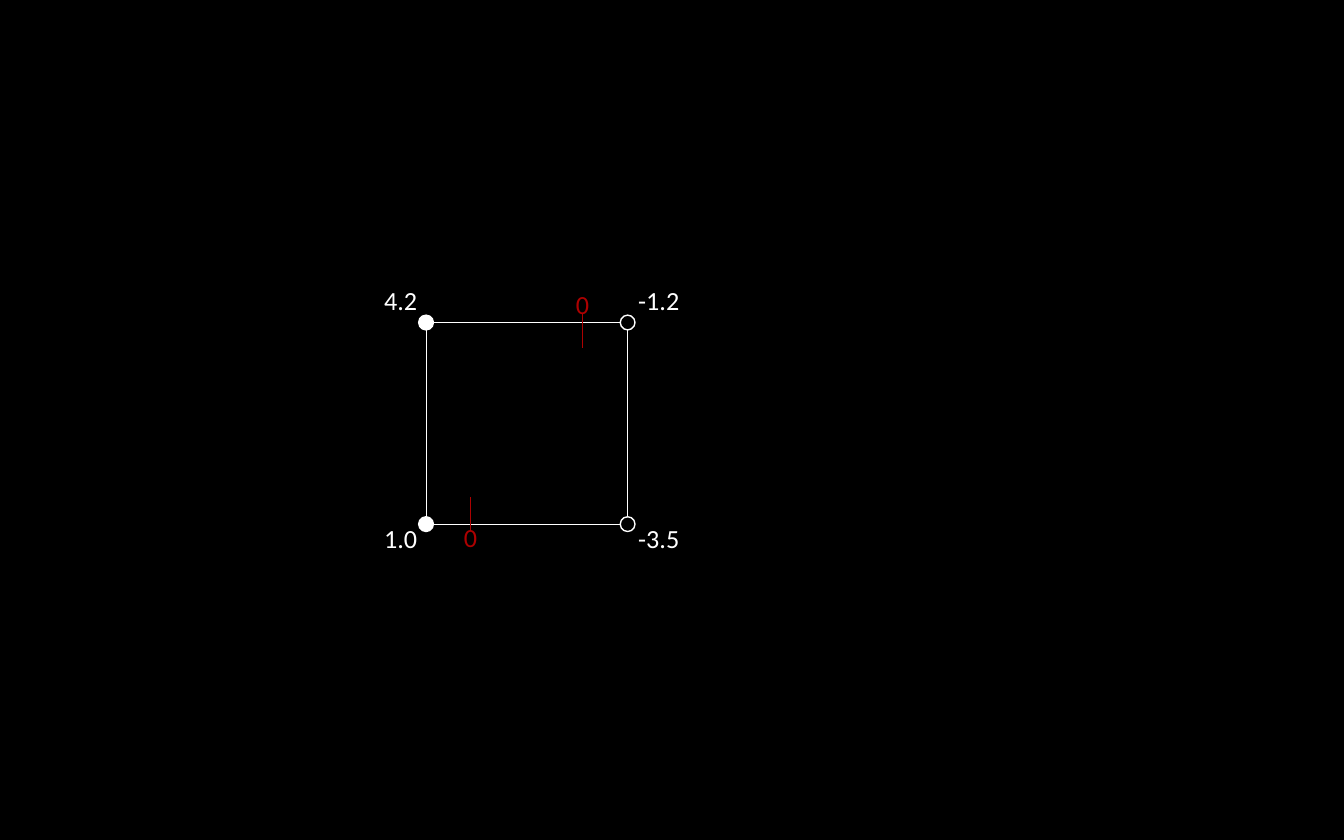
from dataclasses import dataclass

from lxml.etree import SubElement
from pptx import Presentation
from pptx.dml.color import RGBColor
from pptx.enum.shapes import MSO_CONNECTOR, MSO_SHAPE
from pptx.enum.text import MSO_AUTO_SIZE
from pptx.oxml.ns import qn
from pptx.util import Inches, Pt


@dataclass(frozen=True)
class Theme:
    back: RGBColor = RGBColor(0, 0, 0)
    ink: RGBColor = RGBColor(255, 255, 255)
    zero: RGBColor = RGBColor(0xAD, 0x01, 0x01)
    font: str = "Calibri"
    size: float = 14
    edge: float = 0.25
    ring: float = 0.75
    tick: float = 0.5


THEME = Theme()
LEFT, TOP, SIDE = 3.17, 2.4, 1.5
DOT = 0.11
TICK = 0.25
TEXT_H = 0.34


def add_form(slide, kind, x, y, side, width, fill=None):
    """Add a white-lined square or circle, hollow when fill is None."""
    form = slide.shapes.add_shape(
        kind, Inches(x), Inches(y), Inches(side), Inches(side))
    form.shadow.inherit = False
    if fill is None:
        form.fill.background()
    else:
        form.fill.solid()
        form.fill.fore_color.rgb = fill
    form.line.color.rgb = THEME.ink
    form.line.width = Pt(width)


def add_dot(slide, x, y, value):
    """Centre a dot on a corner: white for a positive value, black otherwise."""
    fill = THEME.ink if value > 0 else THEME.back
    add_form(slide, MSO_SHAPE.OVAL, x - DOT / 2, y - DOT / 2, DOT,
             THEME.ring, fill)


def add_label(slide, text, x, y, width, color):
    box = slide.shapes.add_textbox(
        Inches(x), Inches(y), Inches(width), Inches(TEXT_H))
    frame = box.text_frame
    frame.word_wrap = False
    frame.auto_size = MSO_AUTO_SIZE.SHAPE_TO_FIT_TEXT
    run = frame.paragraphs[0].add_run()
    run.text = text
    run.font.name = THEME.font
    run.font.size = Pt(THEME.size)
    run.font.color.rgb = color


def add_tick(slide, x, y):
    line = slide.shapes.add_connector(
        MSO_CONNECTOR.STRAIGHT, Inches(x), Inches(y),
        Inches(x), Inches(y + TICK))
    line.line.color.rgb = THEME.zero
    line.line.width = Pt(THEME.tick)
    SubElement(line._element.spPr, qn("a:effectLst"))


def add_side(slide, y, left, right, text_y, zero_y, tick_y):
    """Add one horizontal side: corner values and the zero between them."""
    end = LEFT + SIDE
    add_dot(slide, LEFT, y, left)
    add_dot(slide, end, y, right)
    add_label(slide, f"{left:.1f}", 2.76, text_y, 0.45, THEME.ink)
    add_label(slide, f"{right:.1f}", 4.65, text_y, 0.51, THEME.ink)
    cross = LEFT + SIDE * left / (left - right)
    add_label(slide, "0", cross - 0.15, zero_y, 0.3, THEME.zero)
    add_tick(slide, cross, tick_y)


def main():
    deck = Presentation()
    deck.slide_width, deck.slide_height = Inches(10), Inches(6.25)
    slide = deck.slides.add_slide(deck.slide_layouts[6])
    slide.background.fill.solid()
    slide.background.fill.fore_color.rgb = THEME.back
    add_form(slide, MSO_SHAPE.RECTANGLE, LEFT, TOP, SIDE, THEME.edge)
    add_side(slide, TOP + SIDE, 1.0, -3.5, 3.84, 3.83, 3.7)
    add_side(slide, TOP, 4.2, -1.2, 2.07, 2.1, 2.34)
    deck.save("out.pptx")


if __name__ == "__main__":
    main()
